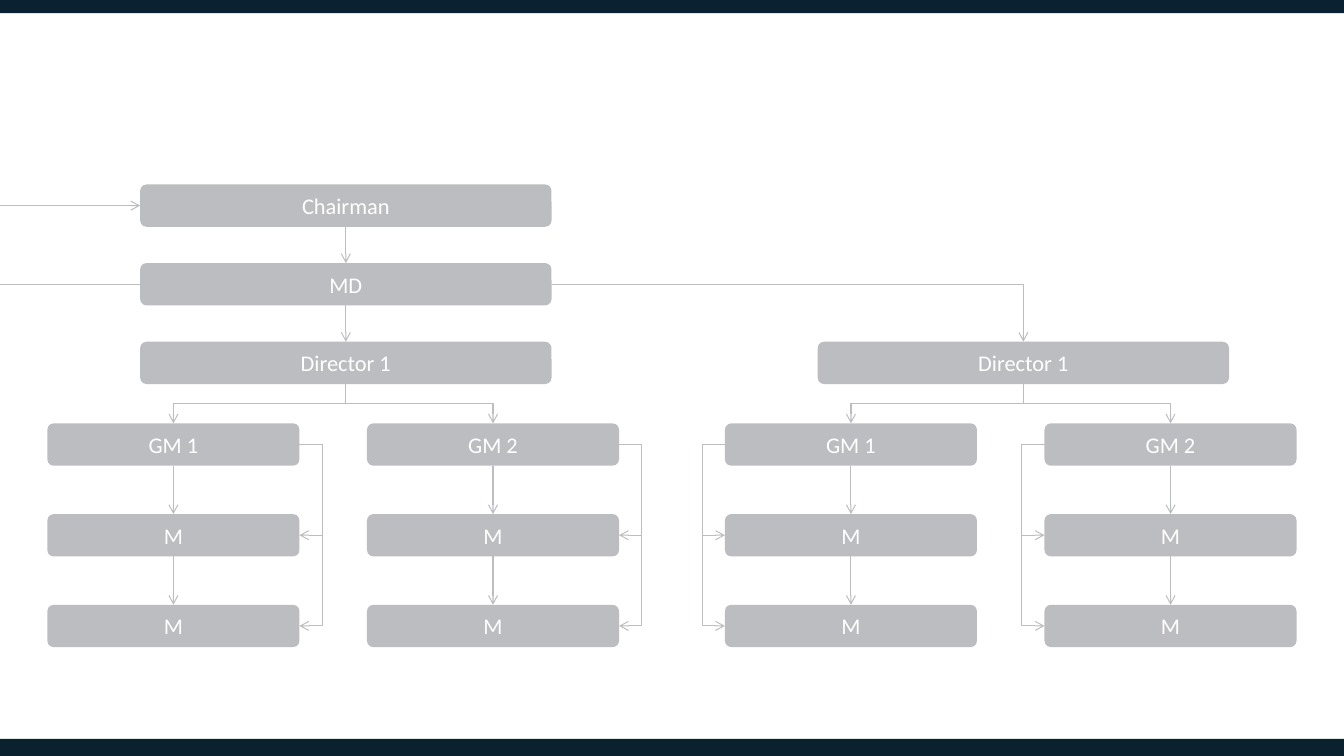
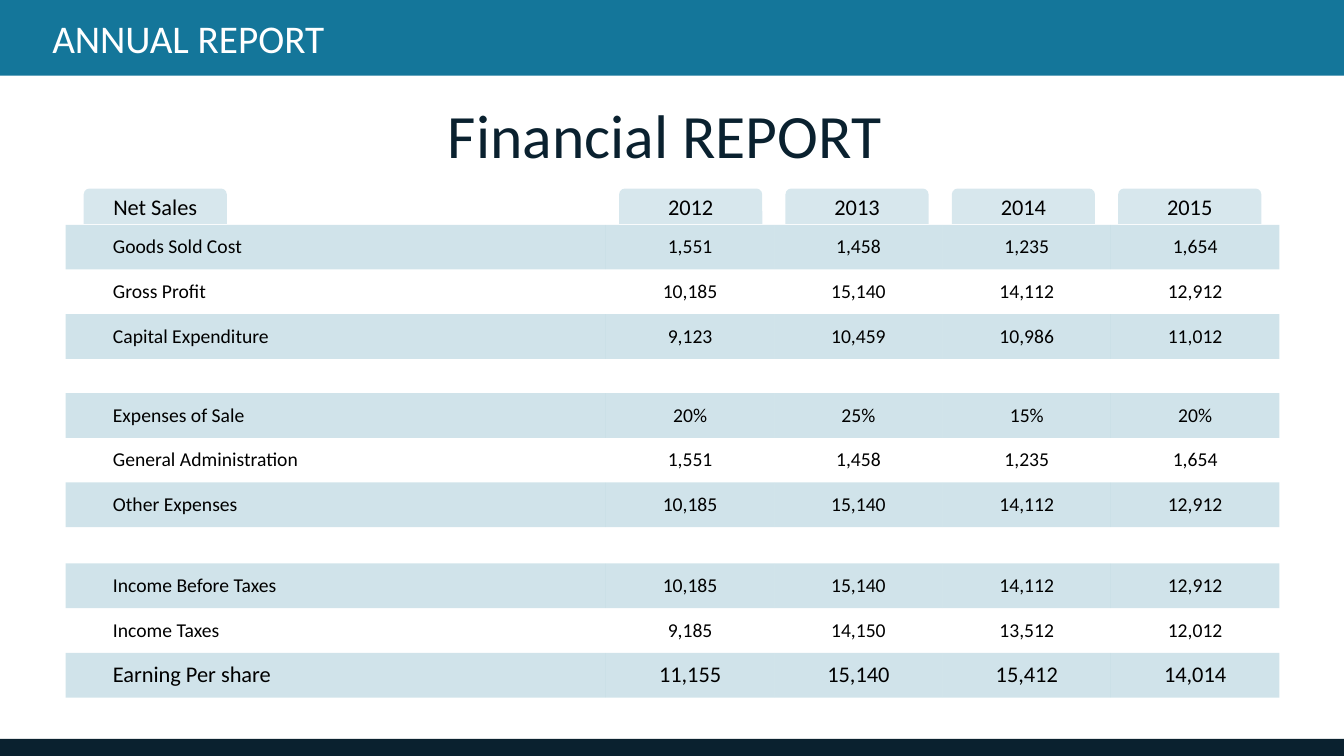
from itertools import pairwise

from lxml import etree
from pptx import Presentation
from pptx import util as u
from pptx.dml.color import RGBColor
from pptx.enum import shapes, text
from pptx.oxml.ns import qn

NAVY, TEAL, GREY = "0A212F", "14769A", "BCBDC1"
WHITE, BLACK = "FFFFFF", "000000"
FONT = "Calibri"
NO_GRID_STYLE = "{2D5ABB26-0587-4C30-8999-92F81FD0307C}"
SHAPE = shapes.MSO_SHAPE
TOP, LEFT, BOTTOM, RIGHT = range(4)


def color(value):
    return RGBColor.from_string(value)


class Report:
    width, height = 13.33, 7.5

    def __init__(self):
        self.deck = Presentation()
        self.deck.slide_width = u.Inches(self.width)
        self.deck.slide_height = u.Inches(self.height)
        self.page = None

    def add_page(self, band_height, band_fill):
        self.page = self.deck.slides.add_slide(self.deck.slide_layouts[6])
        self.shape(SHAPE.RECTANGLE, 0, 7.33, self.width, 0.17, NAVY)
        self.shape(SHAPE.RECTANGLE, 0, 0, self.width, band_height, band_fill)

    def paint(self, fill, value, element, opacity):
        fill.solid()
        fill.fore_color.rgb = color(value)
        if opacity < 100:
            tint = element.find(qn("a:solidFill")).find(qn("a:srgbClr"))
            etree.SubElement(tint, qn("a:alpha"), val=str(opacity * 1000))

    def set_text(self, frame, words, size, ink, centered=True):
        para = frame.paragraphs[0]
        para.text = words
        para.alignment = text.PP_ALIGN.CENTER if centered else text.PP_ALIGN.LEFT
        para.font.name = FONT
        para.font.size = u.Pt(size)
        para.font.color.rgb = color(ink)

    def shape(self, kind, x, y, w, h, fill, words="", ink=WHITE, opacity=100):
        shape = self.page.shapes.add_shape(kind, *map(u.Inches, (x, y, w, h)))
        shape.shadow.inherit = False
        shape.line.fill.background()
        self.paint(shape.fill, fill, shape._element.spPr, opacity)
        if words:
            shape.text_frame.vertical_anchor = text.MSO_ANCHOR.MIDDLE
            self.set_text(shape.text_frame, words, 16, ink)
        return shape

    def node(self, words, x, y, w):
        node = self.shape(SHAPE.ROUNDED_RECTANGLE, x, y, w, 0.42, GREY, words)
        node.adjustments[0] = 0.15
        return node

    def label(self, words, x, y, w, h, size, ink, centered=True):
        box = self.page.shapes.add_textbox(*map(u.Inches, (x, y, w, h)))
        box.text_frame.word_wrap = True
        self.set_text(box.text_frame, words, size, ink, centered)

    def line(self, kind, x1, y1, x2, y2, arrow=True):
        line = self.page.shapes.add_connector(kind, *map(int, (x1, y1, x2, y2)))
        line.line.color.rgb = color(GREY)
        line.line.width = u.Pt(0.75)
        outline = line._element.spPr.find(qn("a:ln"))
        if arrow:
            etree.SubElement(outline, qn("a:tailEnd"), type="arrow")
        etree.SubElement(line._element.spPr, qn("a:effectLst"))
        return line

    def straight(self, x1, y1, x2, y2, arrow=True):
        return self.line(shapes.MSO_CONNECTOR.STRAIGHT, x1, y1, x2, y2, arrow)

    def elbow(self, x1, y1, x2, y2):
        return self.line(shapes.MSO_CONNECTOR.ELBOW, x1, y1, x2, y2)

    def down(self, upper, lower):
        arrow = self.straight(0, 0, 0, 0)
        arrow.begin_connect(upper, BOTTOM)
        arrow.end_connect(lower, TOP)

    def corner(self, source, target):
        corner = self.elbow(source.left + source.width, source.top + source.height / 2,
                            target.left + target.width / 2, target.top)
        corner._element.spPr.find(qn("a:prstGeom")).set("prst", "bentConnector2")

    def fork(self, parent, child):
        x1, y1 = parent.left + parent.width / 2, parent.top + parent.height
        x2, y2 = child.left + child.width / 2, child.top
        middle_x, middle_y = (x1 + x2) / 2, (y1 + y2) / 2
        half_w, half_h = (y2 - y1) / 2, abs(x2 - x1) / 2
        turn = 90
        if x2 > x1:
            turn, half_w = 270, -half_w
        branch = self.elbow(middle_x - half_w, middle_y - half_h,
                            middle_x + half_w, middle_y + half_h)
        branch._element.spPr.find(qn("a:xfrm")).set("rot", str(turn * 60000))

    def bracket(self, source, target, side):
        step = u.Inches(0.01) * (1 if side == RIGHT else -1)
        edge = source.left + (source.width if side == RIGHT else 0)
        bracket = self.elbow(edge - step, source.top + source.height / 2,
                             edge, target.top + target.height / 2)
        guides = bracket._element.spPr.find(qn("a:prstGeom")).find(qn("a:avLst"))
        etree.SubElement(guides, qn("a:gd"), name="adj1", fmla="val 2400000")

    def table(self, y, rows, last_size=14):
        widths = [5.36] + [1.67] * 4
        frame = self.page.shapes.add_table(
            len(rows), len(widths), u.Inches(0.65), u.Inches(y),
            u.Inches(sum(widths)), u.Inches(1.33))
        table = frame.table
        table.first_row = table.horz_banding = False
        table._tbl.tblPr.find(qn("a:tableStyleId")).text = NO_GRID_STYLE
        for column, width in zip(table.columns, widths):
            column.width = u.Inches(width)
        for r, row in enumerate(rows):
            size = last_size if r == len(rows) - 1 else 14
            for c, words in enumerate(row):
                cell = table.cell(r, c)
                cell.margin_left = cell.margin_right = u.Inches(0.47)
                cell.vertical_anchor = text.MSO_ANCHOR.MIDDLE
                self.set_text(cell.text_frame, words, size, BLACK, c > 0)
                if r % 2:
                    cell.fill.background()
                else:
                    self.paint(cell.fill, TEAL, cell._tc.tcPr, 20)


def add_department(report, x, side):
    director = report.node("Director 1", x + 0.92, 3.39, 4.08)
    for i, manager in enumerate(("GM 1", "GM 2")):
        team = [report.node(words, x + 3.17 * i, 4.2 + 0.9 * row, 2.5)
                for row, words in enumerate((manager, "M", "M"))]
        report.fork(director, team[0])
        for upper, lower in pairwise(team):
            report.down(upper, lower)
            report.bracket(team[0], lower, side)
    return director


def add_organization(report):
    report.add_page(0.13, NAVY)
    chairman = report.node("Chairman", 1.39, 1.83, 4.08)
    managing = report.node("MD", 1.39, 2.61, 4.08)
    first = add_department(report, 0.47, RIGHT)
    second = add_department(report, 7.19, LEFT)
    report.down(chairman, managing)
    report.down(managing, first)
    report.corner(managing, second)
    entry_y = chairman.top + chairman.height / 2
    report.straight(0, entry_y, chairman.left, entry_y).end_connect(chairman, LEFT)
    exit_y = managing.top + managing.height / 2
    report.straight(managing.left, exit_y, 0, exit_y, False).begin_connect(managing, LEFT)


def add_finances(report):
    report.add_page(0.75, TEAL)
    report.label("ANNUAL REPORT", 0.42, 0.09, 3.42, 0.57, 28, WHITE, False)
    report.label("Financial REPORT", 2.43, 0.91, 8.33, 0.84, 44, NAVY)
    report.table(2.23, [
        ("Goods Sold Cost", "1,551", "1,458", "1,235", "1,654"),
        ("Gross Profit", "10,185", "15,140", "14,112", "12,912"),
        ("Capital Expenditure", "9,123", "10,459", "10,986", "11,012"),
    ])
    report.table(3.9, [
        ("Expenses of Sale", "20%", "25%", "15%", "20%"),
        ("General Administration", "1,551", "1,458", "1,235", "1,654"),
        ("Other Expenses", "10,185", "15,140", "14,112", "12,912"),
    ])
    report.table(5.59, [
        ("Income Before Taxes", "10,185", "15,140", "14,112", "12,912"),
        ("Income Taxes", "9,185", "14,150", "13,512", "12,012"),
        ("Earning Per share", "11,155", "15,140", "15,412", "14,014"),
    ], last_size=16)
    tabs = [("Net Sales", 0.83)]
    tabs += [(str(2012 + i), 6.14 + 1.65 * i) for i in range(4)]
    for words, x in tabs:
        report.shape(SHAPE.ROUND_2_SAME_RECTANGLE, x, 1.87, 1.42, 0.35,
                     TEAL, words, BLACK, 17)


def main():
    report = Report()
    add_organization(report)
    add_finances(report)
    report.deck.save("out.pptx")


if __name__ == "__main__":
    main()
